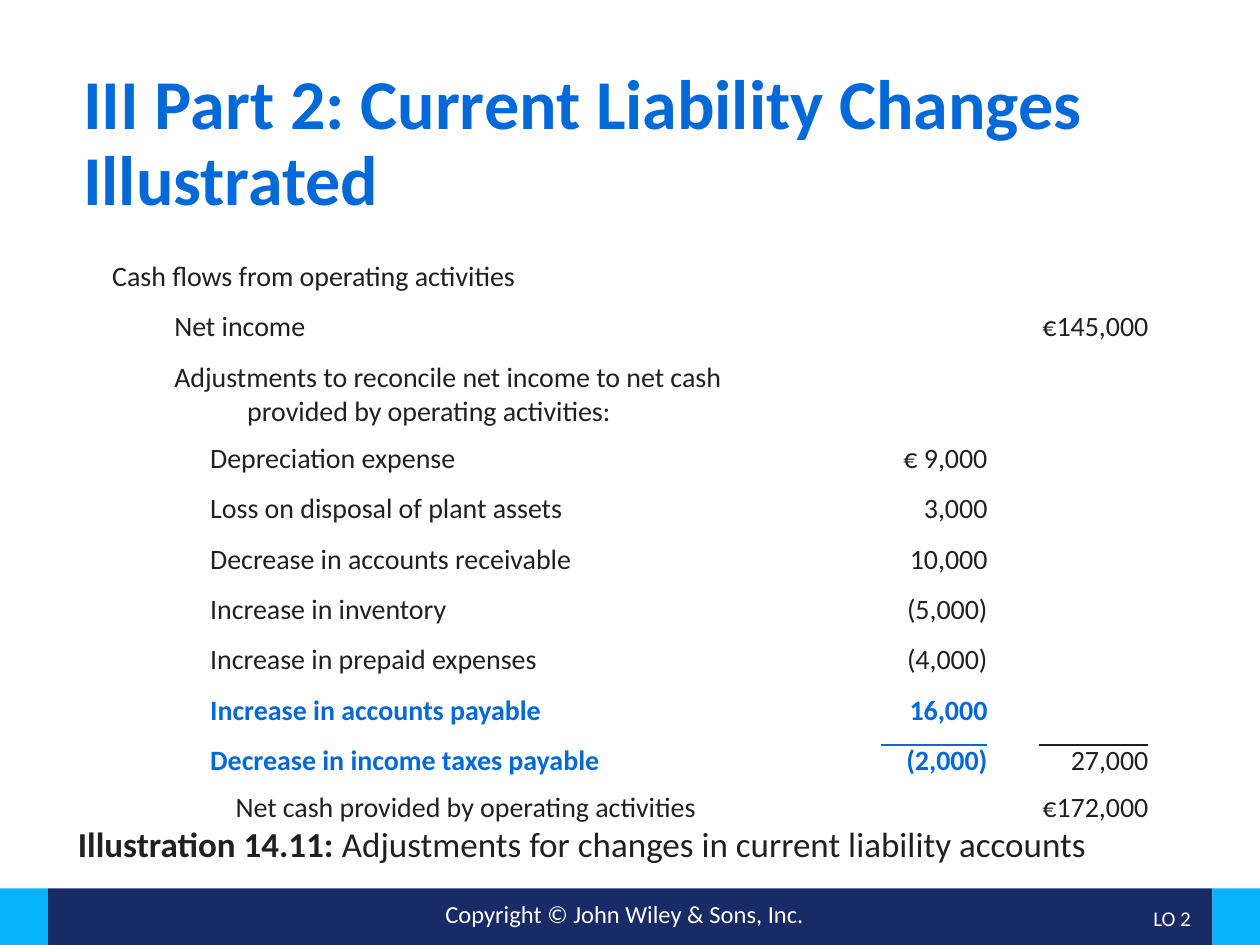
from pptx import Presentation
from pptx import util as u
from pptx.dml.color import RGBColor
from pptx.enum import shapes, text
from pptx.oxml import ns
from lxml import etree

BLUE = RGBColor(0x04, 0x69, 0xD8)
NAVY = RGBColor(0x19, 0x2B, 0x67)
CYAN = RGBColor(0x06, 0xB2, 0xFA)
INK = RGBColor(0x23, 0x1F, 0x20)
WHITE = RGBColor(0xFF, 0xFF, 0xFF)
RIGHT = text.PP_ALIGN.RIGHT

ROW_HEIGHT = 26.8
WRAPPED_ROW_HEIGHT = 46.3
COLUMN_WIDTHS = (422.6, 92, 92)
ITEM = (0, 56)

# Label, (left margin, first-line indent), adjustment, total, highlighted
ROWS = [
    ("Cash flows from operating activities", (0, 0), "", "", False),
    ("Net income", (0, 35.5), "", "€145,000", False),
    ("Adjustments to reconcile net income to net cash provided by operating activities:",
     (77.2, -41.7), "", "", False),
    ("Depreciation expense", ITEM, "€ 9,000", "", False),
    ("Loss on disposal of plant assets", ITEM, "3,000", "", False),
    ("Decrease in accounts receivable", ITEM, "10,000", "", False),
    ("Increase in inventory", ITEM, "(5,000)", "", False),
    ("Increase in prepaid expenses", ITEM, "(4,000)", "", False),
    ("Increase in accounts payable", ITEM, "16,000", "", True),
    ("Decrease in income taxes payable", ITEM, "(2,000)", "27,000", True),
    ("Net cash provided by operating activities", (0, 70.5), "", "€172,000", False),
]


def write(frame, *pieces, size=16, color=INK, align=text.PP_ALIGN.LEFT,
          anchor=text.MSO_ANCHOR.TOP, spacing=None, indent=None):
    """Fill a text frame with one paragraph of (wording, bold) pieces."""
    frame.word_wrap = True
    frame.vertical_anchor = anchor
    para = frame.paragraphs[0]
    para.alignment = align
    para.line_spacing = spacing
    if indent:
        properties = para._p.get_or_add_pPr()
        properties.set("marL", str(u.Pt(indent[0])))
        properties.set("indent", str(u.Pt(indent[1])))
    for wording, bold in pieces:
        span = para.add_run()
        span.text = wording
        span.font.name = "Calibri"
        span.font.size = u.Pt(size)
        span.font.bold = bold
        span.font.color.rgb = color


def add_text(page, left, top, width, height, *pieces, **style):
    box = page.shapes.add_textbox(u.Pt(left), u.Pt(top), u.Pt(width), u.Pt(height))
    write(box.text_frame, *pieces, **style)


def add_bar(page, left, width, color):
    bar = page.shapes.add_shape(shapes.MSO_SHAPE.RECTANGLE, u.Pt(left), u.Pt(507.6),
                                u.Pt(width), u.Pt(32.4))
    bar.shadow.inherit = False
    bar.fill.solid()
    bar.fill.fore_color.rgb = color
    bar.line.fill.background()


def add_sum_rule(page, left, right, color):
    """Draw the line below the last amount of a column."""
    y = u.Pt(425.8)
    rule = page.shapes.add_connector(shapes.MSO_CONNECTOR.STRAIGHT, u.Pt(left), y, u.Pt(right), y)
    rule.line.color.rgb = color
    rule.line.width = u.Pt(1.5)
    etree.SubElement(rule._element.spPr, ns.qn("a:effectLst"))


def add_title(page):
    title = page.shapes.title
    title.left, title.top = u.Pt(40.3), u.Pt(36)
    title.width, title.height = u.Pt(639.4), u.Pt(67)
    write(title.text_frame, ("III Part 2: Current Liability Changes Illustrated", True),
          size=40, color=BLUE, spacing=0.9)
    title.text_frame.auto_size = text.MSO_AUTO_SIZE.NONE


def add_statement(page):
    heights = [WRAPPED_ROW_HEIGHT if indent[0] else ROW_HEIGHT for _, indent, *_ in ROWS]
    table = page.shapes.add_table(len(ROWS), len(COLUMN_WIDTHS), u.Pt(56.9), u.Pt(144.7),
                                  u.Pt(sum(COLUMN_WIDTHS)), u.Pt(sum(heights))).table
    table.first_row = table.horz_banding = False
    for column, width in zip(table.columns, COLUMN_WIDTHS):
        column.width = u.Pt(width)
    for row, height, (label, indent, adjustment, total, marked) in zip(table.rows, heights, ROWS):
        row.height = u.Pt(height)
        for cell in row.cells:
            cell.fill.background()
        label_cell, adjustment_cell, total_cell = row.cells
        label_cell.margin_right = u.Pt(20)
        color = BLUE if marked else INK
        write(label_cell.text_frame, (label, marked), color=color, indent=indent)
        write(adjustment_cell.text_frame, (adjustment, marked), color=color, align=RIGHT)
        write(total_cell.text_frame, (total, False), align=RIGHT)
    add_sum_rule(page, 503.4, 564, BLUE)
    add_sum_rule(page, 593.7, 655.8, INK)


def add_footer(page):
    add_bar(page, 27.4, 665.4, NAVY)
    add_bar(page, 0, 27.4, CYAN)
    add_bar(page, 692.8, 27.2, CYAN)
    add_text(page, 180, 510, 354, 24.2, ("Copyright © John Wiley & Sons, Inc.", False),
             size=14, color=WHITE, align=text.PP_ALIGN.CENTER)
    add_text(page, 628.6, 511.2, 59, 28.8, ("LO 2", False), size=12, color=WHITE,
             align=RIGHT, anchor=text.MSO_ANCHOR.MIDDLE, spacing=0.9)


def main():
    deck = Presentation()
    deck.slide_width, deck.slide_height = u.Pt(720), u.Pt(540)
    page = deck.slides.add_slide(deck.slide_layouts[5])
    add_footer(page)
    add_title(page)
    add_statement(page)
    add_text(page, 37.4, 469.4, 633, 30.2, ("Illustration 14.11: ", True),
             ("Adjustments for changes in current liability accounts", False),
             size=20, spacing=0.9)
    deck.save("out.pptx")


if __name__ == "__main__":
    main()
